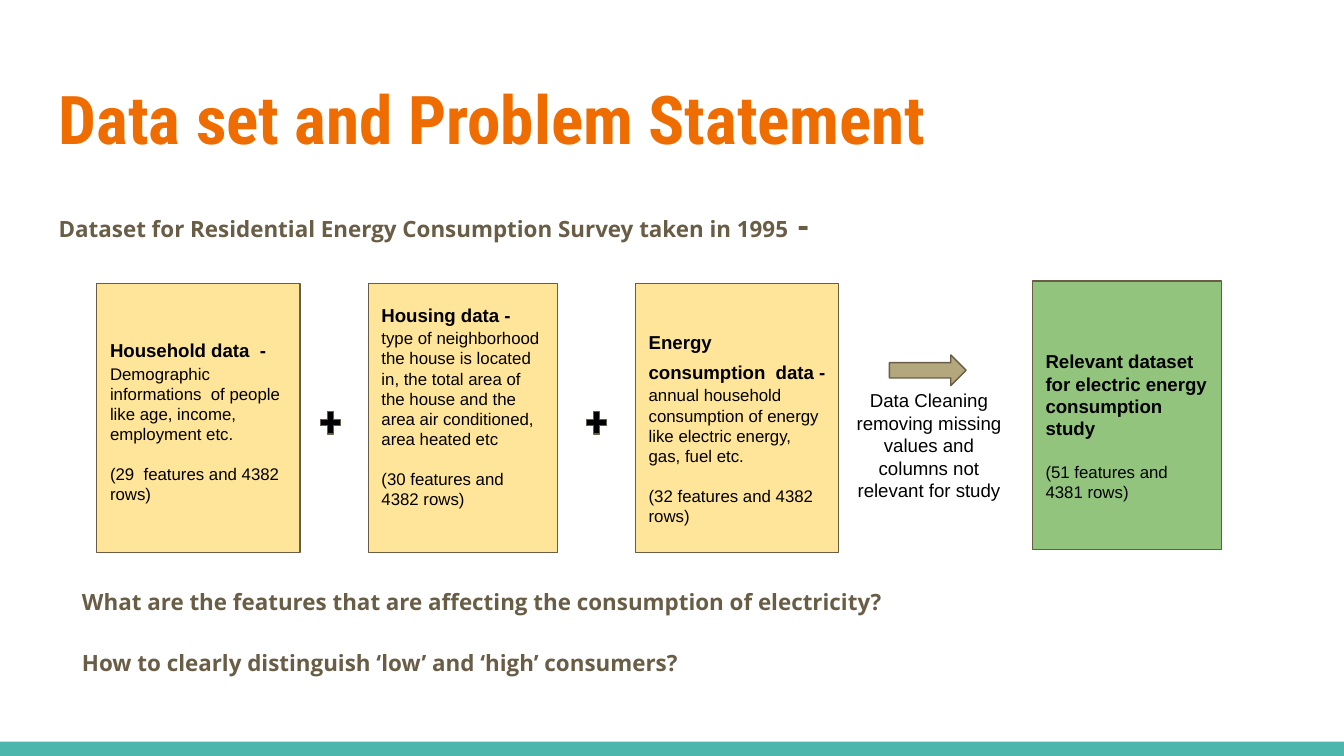
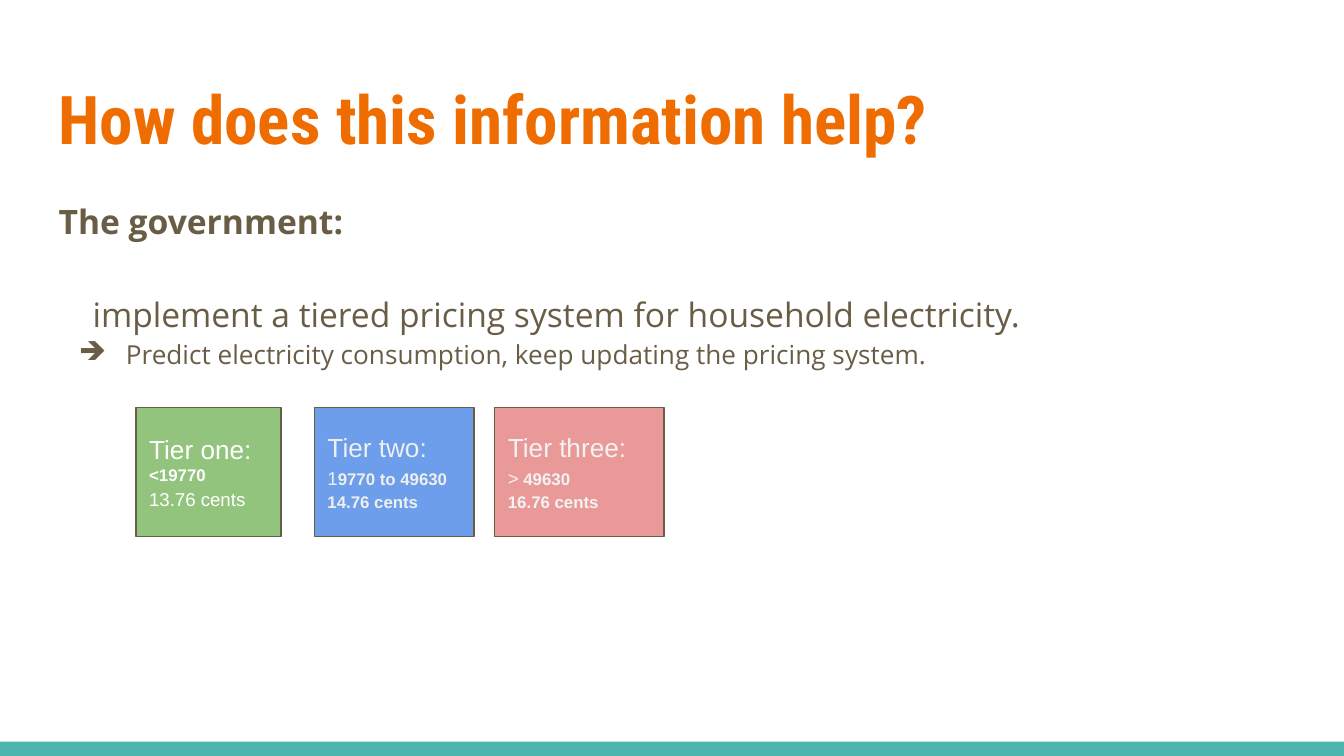
from lxml import etree
from pptx import Presentation
from pptx import util as u
from pptx.dml.color import RGBColor
from pptx.enum import shapes, text
from pptx.oxml import ns

# Shared look
ORANGE = RGBColor(0xEF, 0x6C, 0x00)
TEAL = RGBColor(0x4D, 0xB6, 0xAC)
BROWN = RGBColor(0x69, 0x5D, 0x46)
TAN = RGBColor(0xB3, 0xA7, 0x7D)
YELLOW = RGBColor(0xFF, 0xE5, 0x99)
GREEN = RGBColor(0x93, 0xC4, 0x7D)
BLUE = RGBColor(0x6D, 0x9E, 0xEB)
PINK = RGBColor(0xEA, 0x99, 0x99)
BLACK = RGBColor(0, 0, 0)
WHITE = RGBColor(0xFF, 0xFF, 0xFF)
PALE = RGBColor(0xEF, 0xEF, 0xEF)
PALER = RGBColor(0xF3, 0xF3, 0xF3)

TITLE_FONT, BODY_FONT, CARD_FONT = "Roboto Condensed", "Open Sans", "Arial"
LEFT, WIDTH, INSET = 0.86, 23.67, 0.25
CARD_TOP, CARD_HEIGHT = 5.36, 5.08
TIER_TOP, TIER_HEIGHT = 7.7, 2.44
JUSTIFY = text.PP_ALIGN.JUSTIFY


def write(shape, *runs, size=10, bold=False, color=BLACK, font=CARD_FONT,
          align=text.PP_ALIGN.LEFT, line=1.0, before=0, after=0,
          margin=0, hanging=0, bullet=None):
    """Add one paragraph; a run is a string or (string, size, bold)."""
    frame = shape.text_frame
    paragraph = frame.paragraphs[0]
    if paragraph.runs:
        paragraph = frame.add_paragraph()
    paragraph.alignment = align
    paragraph.line_spacing = line
    paragraph.space_before = u.Pt(before)
    paragraph.space_after = u.Pt(after)
    properties = paragraph._p.get_or_add_pPr()
    properties.set("marL", str(int(u.Cm(margin))))
    properties.set("indent", str(-int(u.Cm(hanging))))
    if bullet:
        bullet_color = etree.SubElement(properties, ns.qn("a:buClr"))
        etree.SubElement(bullet_color, ns.qn("a:srgbClr"), val=str(color))
        etree.SubElement(properties, ns.qn("a:buChar"), char=bullet)
    else:
        etree.SubElement(properties, ns.qn("a:buNone"))
    for part in runs:
        words, run_size, run_bold = (
            (part, size, bold) if isinstance(part, str) else part)
        run = paragraph.add_run()
        run.text = words
        run.font.size = u.Pt(run_size)
        run.font.bold = run_bold
        run.font.name = font
        run.font.color.rgb = color


def set_frame(shape, anchor, inset_top=INSET, inset_bottom=INSET):
    frame = shape.text_frame
    frame.word_wrap = True
    frame.auto_size = text.MSO_AUTO_SIZE.NONE
    frame.vertical_anchor = anchor
    frame.margin_left = frame.margin_right = u.Cm(INSET)
    frame.margin_top, frame.margin_bottom = u.Cm(inset_top), u.Cm(inset_bottom)


def add_figure(slide, kind, left, top, width, height, fill, outline=BROWN):
    shape = slide.shapes.add_shape(
        kind, u.Cm(left), u.Cm(top), u.Cm(width), u.Cm(height))
    shape.shadow.inherit = False
    shape.fill.solid()
    shape.fill.fore_color.rgb = fill
    if outline is None:
        shape.line.fill.background()
    else:
        shape.line.color.rgb = outline
        shape.line.width = u.Pt(0.75)
    return shape


def add_card(slide, left, top, width, height, fill, **insets):
    card = add_figure(slide, shapes.MSO_SHAPE.RECTANGLE,
                      left, top, width, height, fill)
    set_frame(card, text.MSO_ANCHOR.MIDDLE, **insets)
    return card


def add_text(slide, left, top, width, height):
    box = slide.shapes.add_textbox(
        u.Cm(left), u.Cm(top), u.Cm(width), u.Cm(height))
    set_frame(box, text.MSO_ANCHOR.TOP)
    return box


def add_slide(presentation, heading):
    """Title-only slide with the teal band along the bottom."""
    slide = presentation.slides.add_slide(presentation.slide_layouts[5])
    add_figure(slide, shapes.MSO_SHAPE.RECTANGLE,
               0, 14.02, 25.4, 0.27, TEAL, outline=None)
    title = slide.shapes.title
    title.left, title.top = u.Cm(LEFT), u.Cm(1.24)
    title.width, title.height = u.Cm(WIDTH), u.Cm(1.96)
    set_frame(title, text.MSO_ANCHOR.MIDDLE)
    write(title, heading, size=36, bold=True, color=ORANGE, font=TITLE_FONT)
    return slide


def build_dataset_slide(presentation):
    slide = add_slide(presentation, "Data set and Problem Statement")
    strong = dict(size=12, bold=True, color=BROWN, font=BODY_FONT,
                  line=1.15, after=16)
    intro = add_text(slide, LEFT, 3.5, WIDTH, 9.17)
    write(intro, "Dataset for Residential Energy Consumption Survey taken in 1995",
          (" -", 18, True), **strong)

    # Source data cards: left, width, insets, heading lines, details, count
    sources = [
        (1.83, 3.84, {}, ["Household data  -"],
         "Demographic informations  of people like age, income, employment etc.",
         "(29  features and 4382 rows)"),
        (6.96, 3.58, {"inset_bottom": 0.82}, ["Housing data -"],
         "type of neighborhood the house is located in, the total area of "
         "the house and the area air conditioned, area heated etc",
         "(30 features and 4382 rows)"),
        (12.01, 3.84, {"inset_top": 0.65}, ["Energy", "consumption  data -"],
         "annual household consumption of energy like electric energy, "
         "gas, fuel etc.",
         "(32 features and 4382 rows)"),
    ]
    for left, width, insets, headings, details, count in sources:
        card = add_card(slide, left, CARD_TOP, width, CARD_HEIGHT, YELLOW, **insets)
        for heading in headings[:-1]:
            write(card, heading, bold=True)
        write(card, (headings[-1], 10, True), (" ", 14, False), details, size=9)
        write(card, count, size=9, before=10.5)

    for left in (5.99, 11.02):
        plus = add_figure(slide, shapes.MSO_SHAPE.MATH_PLUS,
                          left, 7.7, 0.51, 0.58, BLACK)
        plus.adjustments[0] = 0.235

    # Cleaning step and resulting dataset
    add_figure(slide, shapes.MSO_SHAPE.RIGHT_ARROW, 16.81, 6.71, 1.45, 0.58, TAN)
    cleaning = add_text(slide, 15.88, 7.11, 3.35, 1.96)
    write(cleaning, "Data Cleaning removing missing values and columns not "
          "relevant for study", align=text.PP_ALIGN.CENTER)
    result = add_card(slide, 19.51, 5.31, 3.58, CARD_HEIGHT, GREEN, inset_top=0.65)
    write(result, "Relevant dataset for electric energy consumption study", bold=True)
    write(result, "(51 features and 4381 rows)", size=9, before=11.5)

    questions = add_text(slide, 1.3, 10.8, 21.77, 2.49)
    for question in (
            "What are the features that are affecting the consumption of electricity?",
            "How to clearly distinguish ‘low’ and ‘high’ consumers?"):
        write(questions, question, **strong)


def build_pricing_slide(presentation):
    slide = add_slide(presentation, "How does this information help?")
    prose = dict(color=BROWN, font=BODY_FONT, align=JUSTIFY, line=1.15)
    body = add_text(slide, LEFT, 3.43, WIDTH, 9.17)
    write(body, "The government:", size=18, bold=True, **prose)
    write(body, "implement a tiered pricing system for household electricity.",
          size=18, before=25, margin=0.64, **prose)
    write(body, "Predict electricity consumption, keep updating the pricing system.",
          size=14, margin=1.27, hanging=0.89, bullet="➔", **prose)

    # Price tiers: left, width, fill, text colour, name, range, range spacing, price
    tiers = [
        (2.57, 2.74, GREEN, WHITE, "Tier one:",
         [("<19770", 9, True)], 1.0, ("13.76 cents", 10, False)),
        (5.94, 3.02, BLUE, PALE, "Tier two:",
         [("1", 10, False), ("9770 to 49630", 9, True)], 1.15,
         ("14.76 cents", 9, True)),
        (9.35, 3.2, PINK, PALER, "Tier three:",
         [(">", 10, False), (" 49630", 9, True)], 1.15,
         ("16.76 cents", 9, True)),
    ]
    for left, width, fill, color, name, limits, spacing, price in tiers:
        card = add_card(slide, left, TIER_TOP, width, TIER_HEIGHT, fill)
        write(card, name, size=14, color=color)
        write(card, *limits, color=color, align=JUSTIFY, line=spacing)
        write(card, price, color=color, align=JUSTIFY, line=1.15)


def main():
    presentation = Presentation()
    presentation.slide_width, presentation.slide_height = u.Cm(25.4), u.Cm(14.29)
    build_dataset_slide(presentation)
    build_pricing_slide(presentation)
    presentation.save("out.pptx")


if __name__ == "__main__":
    main()
